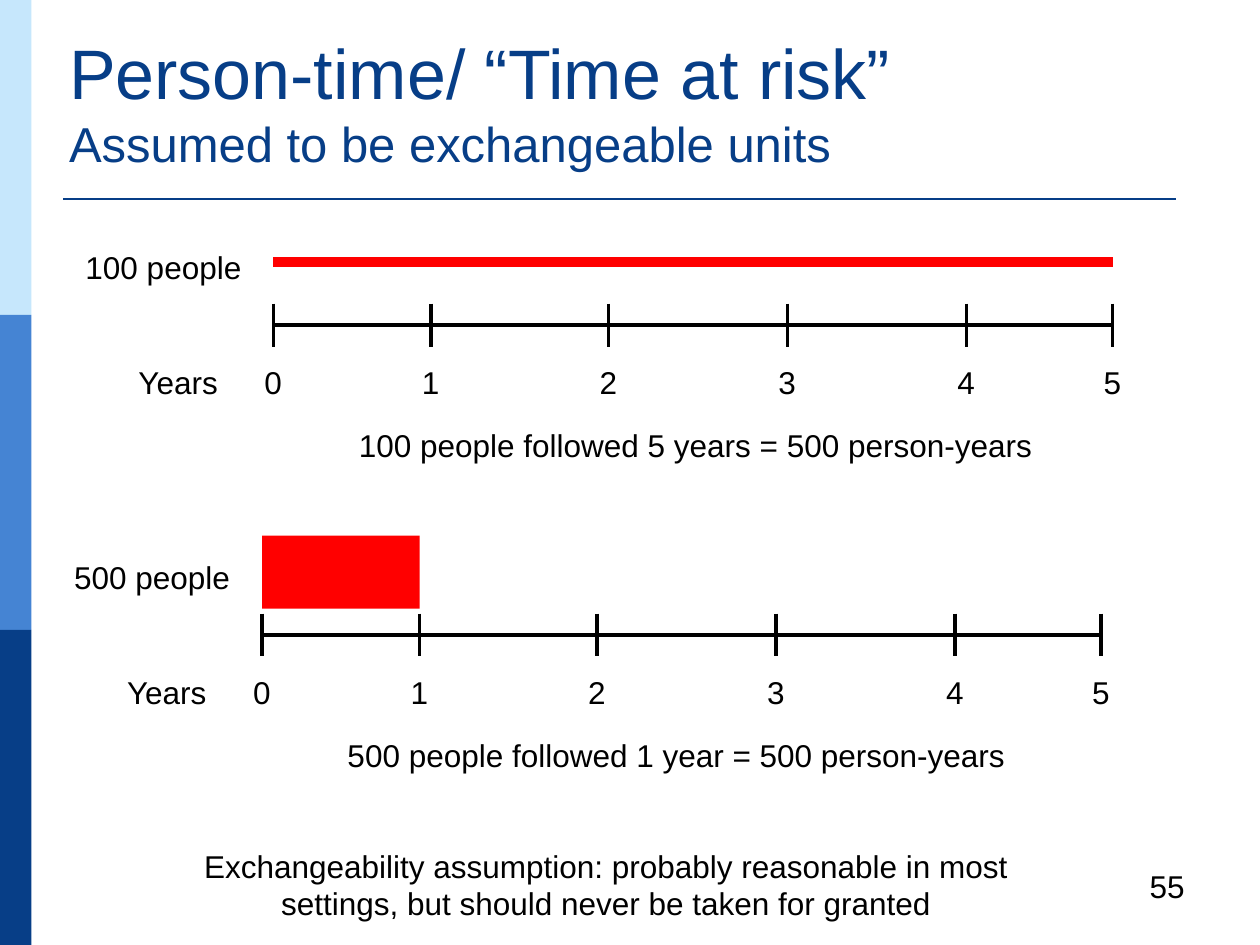
from pptx import Presentation
from pptx.dml.color import RGBColor
from pptx.enum.shapes import MSO_CONNECTOR, MSO_SHAPE
from pptx.enum.text import MSO_ANCHOR, PP_ALIGN
from pptx.oxml.ns import qn
from pptx.util import Inches, Pt
from lxml import etree

STRAIGHT = MSO_CONNECTOR.STRAIGHT
RECTANGLE = MSO_SHAPE.RECTANGLE
TOP, BOTTOM = MSO_ANCHOR.TOP, MSO_ANCHOR.BOTTOM
LEFT, CENTER, RIGHT = PP_ALIGN.LEFT, PP_ALIGN.CENTER, PP_ALIGN.RIGHT

# Content
WIDTH, HEIGHT = 10, 7.5
NAVY, BLACK, RED = "073E87", "000000", "FF0000"
SIDE_COLORS = ["C6E7FC", "4584D3", NAVY]
TITLE = [("Person-time/ “Time at risk”", 40), ("Assumed to be exchangeable units", 28)]
NOTE = ("Exchangeability assumption: probably reasonable in most settings, "
        "but should never be taken for granted")
PAGE_NUMBER = "55"
YEAR_OFFSETS = [0, 1.25, 2.66, 4.08, 5.5, 6.66]
TIMELINES = [
    {"origin": (2.17, 2.58), "people": "100 people", "years": 5, "bar_height": None,
     "caption": "100 people followed 5 years = 500 person-years"},
    {"origin": (2.08, 5.04), "people": "500 people", "years": 1, "bar_height": 0.58,
     "caption": "500 people followed 1 year = 500 person-years"},
]


def color(value):
    return RGBColor.from_string(value)


def add_box(shapes, left, top, width, height, fill):
    shape = shapes.add_shape(RECTANGLE, Inches(left), Inches(top),
                             Inches(width), Inches(height))
    shape.shadow.inherit = False
    shape.fill.solid()
    shape.fill.fore_color.rgb = color(fill)
    shape.line.fill.background()


def add_line(shapes, x1, y1, x2, y2, stroke, weight):
    line = shapes.add_connector(STRAIGHT, Inches(x1), Inches(y1), Inches(x2), Inches(y2))
    line.line.color.rgb = color(stroke)
    line.line.width = Pt(weight)
    etree.SubElement(line._element.spPr, qn("a:effectLst"))


def add_text(shapes, left, top, width, height, lines, fill=BLACK, align=LEFT, anchor=TOP):
    box = shapes.add_textbox(Inches(left), Inches(top), Inches(width), Inches(height))
    frame = box.text_frame
    frame.word_wrap = True
    frame.vertical_anchor = anchor
    paragraph = frame.paragraphs[0]
    paragraph.alignment = align
    for index, (text, size) in enumerate(lines):
        if index:
            paragraph.add_line_break()
        run = paragraph.add_run()
        run.text = text
        run.font.name = "Arial"
        run.font.size = Pt(size)
        run.font.color.rgb = color(fill)


def add_timeline(slide, timeline):
    shapes = slide.shapes.add_group_shape().shapes
    x, y = timeline["origin"]

    # Axis, ticks and year numbers
    add_line(shapes, x, y, x + YEAR_OFFSETS[-1], y, BLACK, 2)
    for year, offset in enumerate(YEAR_OFFSETS):
        tick = x + offset
        add_line(shapes, tick, y - 0.17, tick, y + 0.17, BLACK, 2)
        add_text(shapes, tick - 0.17, y + 0.25, 0.42, 0.37, [(str(year), 18)])

    # Follow-up bar
    length = YEAR_OFFSETS[timeline["years"]]
    if timeline["bar_height"]:
        height = timeline["bar_height"]
        add_box(shapes, x, y - 0.21 - height, length, height, RED)
    else:
        add_line(shapes, x, y - 0.5, x + length, y - 0.5, RED, 6)

    # Labels and caption
    add_text(shapes, x - 1.17, y + 0.25, 0.92, 0.37, [("Years", 18)])
    add_text(shapes, x - 1.59, y - 0.66, 1.58, 0.37, [(timeline["people"], 18)])
    add_text(shapes, x + 0.58, y + 0.75, 5.67, 0.37, [(timeline["caption"], 18)])


def main():
    presentation = Presentation()
    presentation.slide_width, presentation.slide_height = Inches(WIDTH), Inches(HEIGHT)
    slide = presentation.slides.add_slide(presentation.slide_layouts[6])
    shapes = slide.shapes

    # Side band and title
    band_height = HEIGHT / len(SIDE_COLORS)
    for row, fill in enumerate(SIDE_COLORS):
        add_box(shapes, 0, row * band_height, 0.25, band_height, fill)
    add_line(shapes, 0.5, 1.58, 9.33, 1.58, NAVY, 1.5)
    add_text(shapes, 0.45, 0.17, 9, 1.25, TITLE, NAVY, anchor=BOTTOM)

    for timeline in TIMELINES:
        add_timeline(slide, timeline)

    # Closing note and page number
    add_text(shapes, 1.33, 6.67, 6.96, 0.65, [(NOTE, 18)], align=CENTER)
    add_text(shapes, 7.17, 6.83, 2.33, 0.52, [(PAGE_NUMBER, 18)], align=RIGHT)
    presentation.save("out.pptx")


if __name__ == "__main__":
    main()
